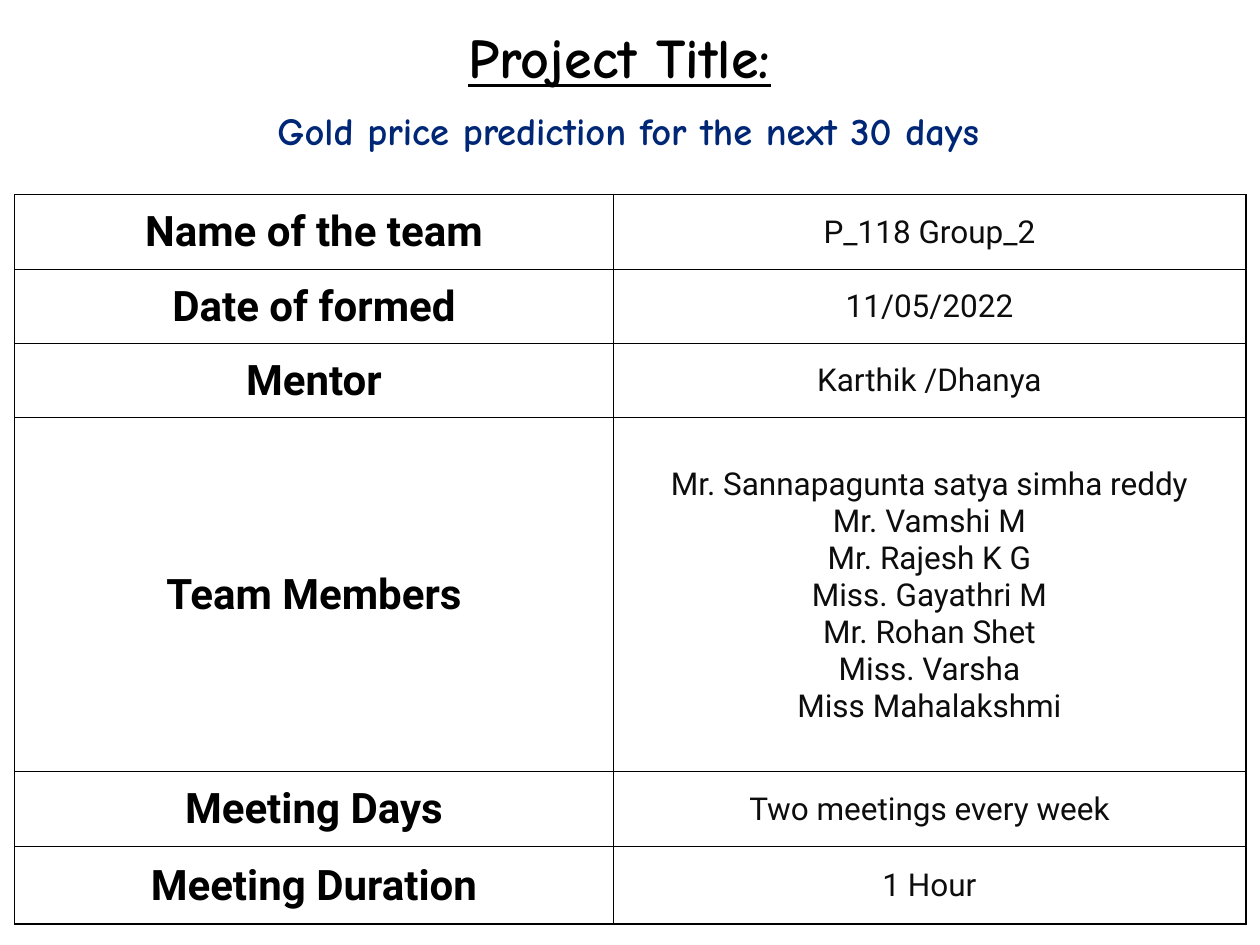
from dataclasses import dataclass

from lxml import etree
from pptx import Presentation
from pptx.dml.color import RGBColor
from pptx.enum import text
from pptx.oxml.ns import qn
from pptx.util import Pt

BLACK = RGBColor(0x00, 0x00, 0x00)
NEAR_BLACK = RGBColor(0x0D, 0x0D, 0x0D)
NAVY = RGBColor(0x00, 0x27, 0x76)

LABEL = dict(name="Roboto", size=Pt(24), bold=True)
VALUE = dict(name="Roboto", size=Pt(18), bold=False)
HEADING = dict(name="Comic Neue", size=Pt(32), bold=True, underline=True)
TOPIC = dict(name="Comic Neue", size=Pt(22), bold=True, underline=False)

COL_WIDTHS = (342, 361.5)
OUTER, INNER = 1, 0.5


@dataclass
class Row:
    label: str
    value: str
    height: float = 42.5


MEMBERS = (
    "Mr. Sannapagunta satya simha reddy",
    "Mr. Vamshi M",
    "Mr. Rajesh K G",
    "Miss. Gayathri M",
    "Mr. Rohan Shet",
    "Miss. Varsha",
)
ROWS = [
    Row("Name of the team", "P_118 Group_2"),
    Row("Date of formed", "11/05/2022"),
    Row("Mentor", "Karthik /Dhanya"),
    Row("Team Members", "\v".join(MEMBERS) + "\nMiss Mahalakshmi", 202.3),
    Row("Meeting Days", "Two meetings every week"),
    Row("Meeting Duration", "1 Hour", 44.6),
]


def format_paragraph(p, color: RGBColor, fmt: dict) -> None:
    p.alignment = text.PP_ALIGN.CENTER
    for r in p.runs:
        for key, value in fmt.items():
            setattr(r.font, key, value)
        r.font.color.rgb = color


def set_borders(cell, widths: dict[str, float]) -> None:
    """Draw black cell edges; widths maps L, R, T, B to points."""
    tcPr = cell._tc.get_or_add_tcPr()
    for i, (side, width) in enumerate(widths.items()):
        ln = etree.Element(qn(f"a:ln{side}"), w=str(Pt(width)))
        fill = etree.SubElement(ln, qn("a:solidFill"))
        etree.SubElement(fill, qn("a:srgbClr"), val=str(BLACK))
        tcPr.insert(i, ln)


def fill_cell(cell, content: str, color: RGBColor, fmt: dict) -> None:
    cell.text = content
    cell.vertical_anchor = text.MSO_ANCHOR.MIDDLE
    cell.margin_left = cell.margin_right = cell.margin_top = Pt(0.7)
    cell.margin_bottom = 0
    cell.fill.background()
    for p in cell.text_frame.paragraphs:
        format_paragraph(p, color, fmt)


def add_title(slide) -> None:
    sp = slide.shapes.title
    sp.left, sp.top, sp.width, sp.height = Pt(2.2), Pt(9.4), Pt(703.5), Pt(85)
    tf = sp.text_frame
    tf.text = "Project Title:\nGold price prediction for the next 30 days"
    tf.word_wrap = True
    tf.auto_size = text.MSO_AUTO_SIZE.NONE
    tf.vertical_anchor = text.MSO_ANCHOR.TOP
    heading, topic = tf.paragraphs
    format_paragraph(heading, BLACK, HEADING)
    format_paragraph(topic, NAVY, TOPIC)
    topic.space_before = Pt(10)
    topic._p.get_or_add_pPr().set("marL", str(Pt(10)))


def add_team_table(slide) -> None:
    table = slide.shapes.add_table(
        len(ROWS), len(COL_WIDTHS), Pt(8.4), Pt(111.3),
        Pt(sum(COL_WIDTHS)), Pt(sum(row.height for row in ROWS))).table
    table.first_row = table.horz_banding = False
    for col, width in zip(table.columns, COL_WIDTHS):
        col.width = Pt(width)
    for i, row in enumerate(ROWS):
        table.rows[i].height = Pt(row.height)
        fill_cell(table.cell(i, 0), row.label, BLACK, LABEL)
        fill_cell(table.cell(i, 1), row.value, NEAR_BLACK, VALUE)
        for j in range(len(COL_WIDTHS)):
            set_borders(table.cell(i, j), {
                "L": OUTER if j == 0 else INNER,
                "R": OUTER if j == len(COL_WIDTHS) - 1 else INNER,
                "T": OUTER if i == 0 else INNER,
                "B": OUTER if i == len(ROWS) - 1 else INNER,
            })


def main() -> None:
    prs = Presentation()
    prs.slide_width, prs.slide_height = Pt(720), Pt(540)
    slide = prs.slides.add_slide(prs.slide_layouts[5])
    add_title(slide)
    add_team_table(slide)
    prs.save("out.pptx")


if __name__ == "__main__":
    main()
